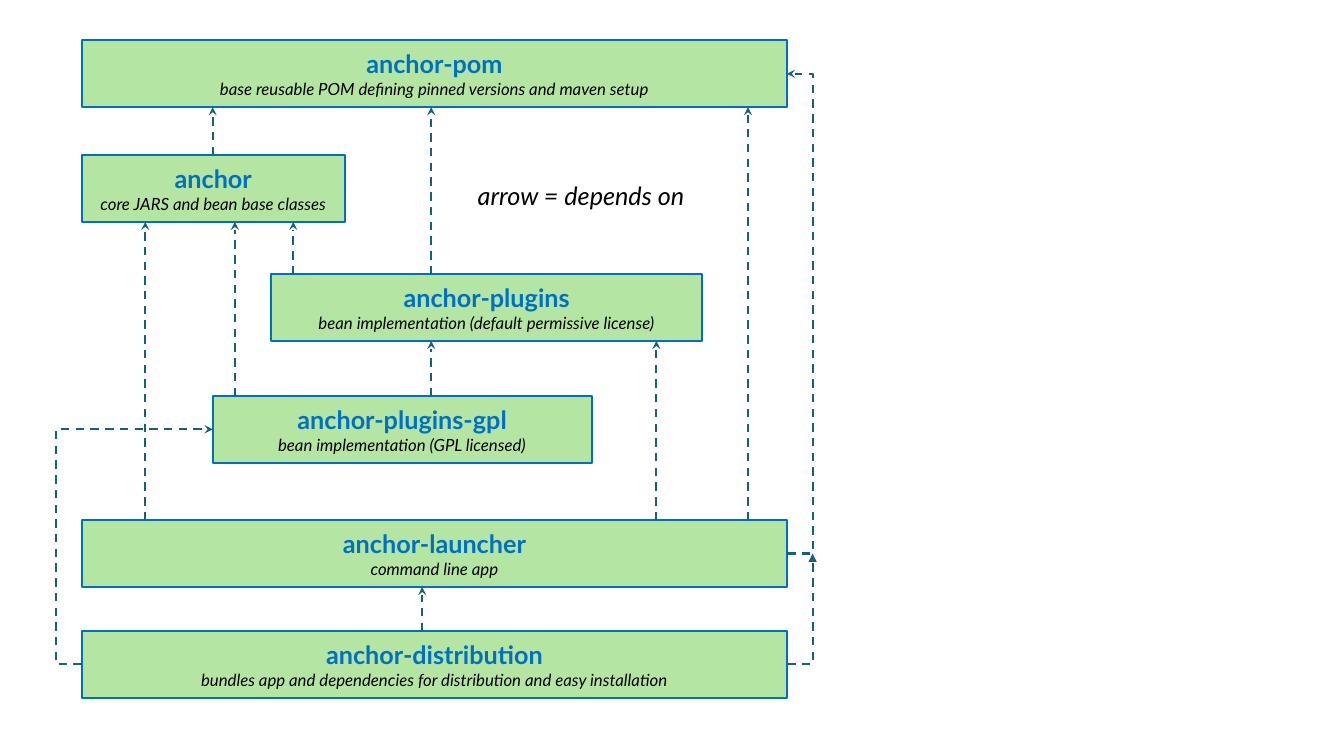
from dataclasses import dataclass

import pptx
import pptx.dml.color
import pptx.enum.dml
import pptx.enum.shapes
import pptx.enum.text
import pptx.oxml
import pptx.oxml.ns
import pptx.util

Cm, Pt = pptx.util.Cm, pptx.util.Pt
MSO_CONNECTOR = pptx.enum.shapes.MSO_CONNECTOR
FONT = "Lato"
BLACK, BLUE, GREEN, TEAL = "000000", "0070C0", "B4E5A2", "156082"
TITLE = {"name": FONT, "size": Pt(18), "bold": True, "italic": False}
NOTE = {"name": FONT, "size": Pt(12), "bold": False, "italic": True}
LEGEND = {**NOTE, "size": Pt(18)}
BOX_HEIGHT = 1.68
DETOUR = 0.64  # distance that bent arrows keep from the boxes


@dataclass(frozen=True)
class Module:
    name: str
    note: str
    left: float
    top: float
    width: float = 17.78

    @property
    def right(self) -> float:
        return self.left + self.width

    @property
    def bottom(self) -> float:
        return self.top + BOX_HEIGHT

    @property
    def middle(self) -> float:
        return self.top + BOX_HEIGHT / 2


@dataclass(frozen=True)
class Arrow:
    start: tuple[float, float]
    end: tuple[float, float]
    preset: str = "line"
    bend: float | None = None  # offset of the bend from the start, to the right
    head: str = "stealth"


POM = Module("anchor-pom", "base reusable POM defining pinned versions and maven setup", 2.06, 1.02)
ANCHOR = Module("anchor", "core JARS and bean base classes", 2.06, 3.91, 6.63)
PLUGINS = Module("anchor-plugins", "bean implementation (default permissive license)", 6.83, 6.91, 10.87)
GPL = Module("anchor-plugins-gpl", "bean implementation (GPL licensed)", 5.36, 9.98, 9.55)
LAUNCHER = Module("anchor-launcher", "command line app", 2.06, 13.11)
DISTRIBUTION = Module(
    "anchor-distribution", "bundles app and dependencies for distribution and easy installation", 2.06, 15.9
)
MODULES = [POM, ANCHOR, PLUGINS, GPL, LAUNCHER, DISTRIBUTION]


def upward(x: float, user: Module, used: Module) -> Arrow:
    return Arrow((x, user.top), (x, used.bottom))


ARROWS = [
    upward(5.36, ANCHOR, POM),
    upward(10.87, PLUGINS, POM),
    upward(7.39, PLUGINS, ANCHOR),
    upward(5.92, GPL, ANCHOR),
    upward(10.87, GPL, PLUGINS),
    upward(18.85, LAUNCHER, POM),
    upward(16.54, LAUNCHER, PLUGINS),
    upward(3.66, LAUNCHER, ANCHOR),
    upward(10.64, DISTRIBUTION, LAUNCHER),
    Arrow((LAUNCHER.right, LAUNCHER.middle), (POM.right - 0.01, POM.middle), "bentConnector3", DETOUR),
    Arrow(
        (DISTRIBUTION.right, DISTRIBUTION.middle),
        (DISTRIBUTION.right + DETOUR, LAUNCHER.middle),
        "bentConnector2",
        head="triangle",
    ),
    Arrow((DISTRIBUTION.left, DISTRIBUTION.middle), (GPL.left, GPL.middle), "bentConnector3", -DETOUR),
]


def rgb(value: str) -> pptx.dml.color.RGBColor:
    return pptx.dml.color.RGBColor.from_string(value)


def add_run(p, text: str, color: str, formats: dict) -> None:
    r = p.add_run()
    r.text = text
    r.font.color.rgb = rgb(color)
    for key, value in formats.items():
        setattr(r.font, key, value)


def add_child(parent, tag: str, **attributes: str):
    child = pptx.oxml.parse_xml(f"<a:{tag} {pptx.oxml.ns.nsdecls('a')}/>")
    for key, value in attributes.items():
        child.set(key, value)
    parent.append(child)


def draw_module(s, module: Module) -> None:
    sp = s.shapes.add_shape(
        pptx.enum.shapes.MSO_SHAPE.RECTANGLE,
        Cm(module.left), Cm(module.top), Cm(module.width), Cm(BOX_HEIGHT),
    )
    sp.shadow.inherit = False
    sp.fill.solid()
    sp.fill.fore_color.rgb = rgb(GREEN)
    sp.line.color.rgb = rgb(BLUE)
    sp.line.width = Pt(1.5)
    tf = sp.text_frame
    tf.word_wrap = True
    tf.vertical_anchor = pptx.enum.text.MSO_ANCHOR.MIDDLE
    p = tf.paragraphs[0]
    p.alignment = pptx.enum.text.PP_ALIGN.CENTER
    add_run(p, module.name, BLUE, TITLE)
    p.add_line_break()
    add_run(p, module.note, BLACK, NOTE)


def draw_arrow(s, arrow: Arrow) -> None:
    kind = MSO_CONNECTOR.STRAIGHT if arrow.preset == "line" else MSO_CONNECTOR.ELBOW
    points = [Cm(value) for value in (*arrow.start, *arrow.end)]
    cxn = s.shapes.add_connector(kind, *points)
    cxn.line.color.rgb = rgb(TEAL)
    cxn.line.width = Pt(1.5)
    cxn.line.dash_style = pptx.enum.dml.MSO_LINE.DASH
    properties = cxn._element.spPr
    add_child(properties.find(pptx.oxml.ns.qn("a:ln")), "tailEnd", type=arrow.head)
    add_child(properties, "effectLst")
    geometry = properties.find(pptx.oxml.ns.qn("a:prstGeom"))
    geometry.set("prst", arrow.preset)
    if arrow.bend is not None:
        share = arrow.bend / (arrow.end[0] - arrow.start[0])
        guides = geometry.find(pptx.oxml.ns.qn("a:avLst"))
        add_child(guides, "gd", name="adj1", fmla=f"val {round(share * 100000)}")


def draw_legend(s) -> None:
    tf = s.shapes.add_textbox(Cm(11.79), Cm(4.42), Cm(6.58), Cm(1.02)).text_frame
    tf.word_wrap = True
    add_run(tf.paragraphs[0], "arrow = depends on", BLACK, LEGEND)


def main() -> None:
    prs = pptx.Presentation()
    prs.slide_width, prs.slide_height = Cm(33.87), Cm(19.05)
    s = prs.slides.add_slide(prs.slide_layouts[6])
    for module in MODULES:
        draw_module(s, module)
    for arrow in ARROWS:
        draw_arrow(s, arrow)
    draw_legend(s)
    prs.save("out.pptx")


if __name__ == "__main__":
    main()
